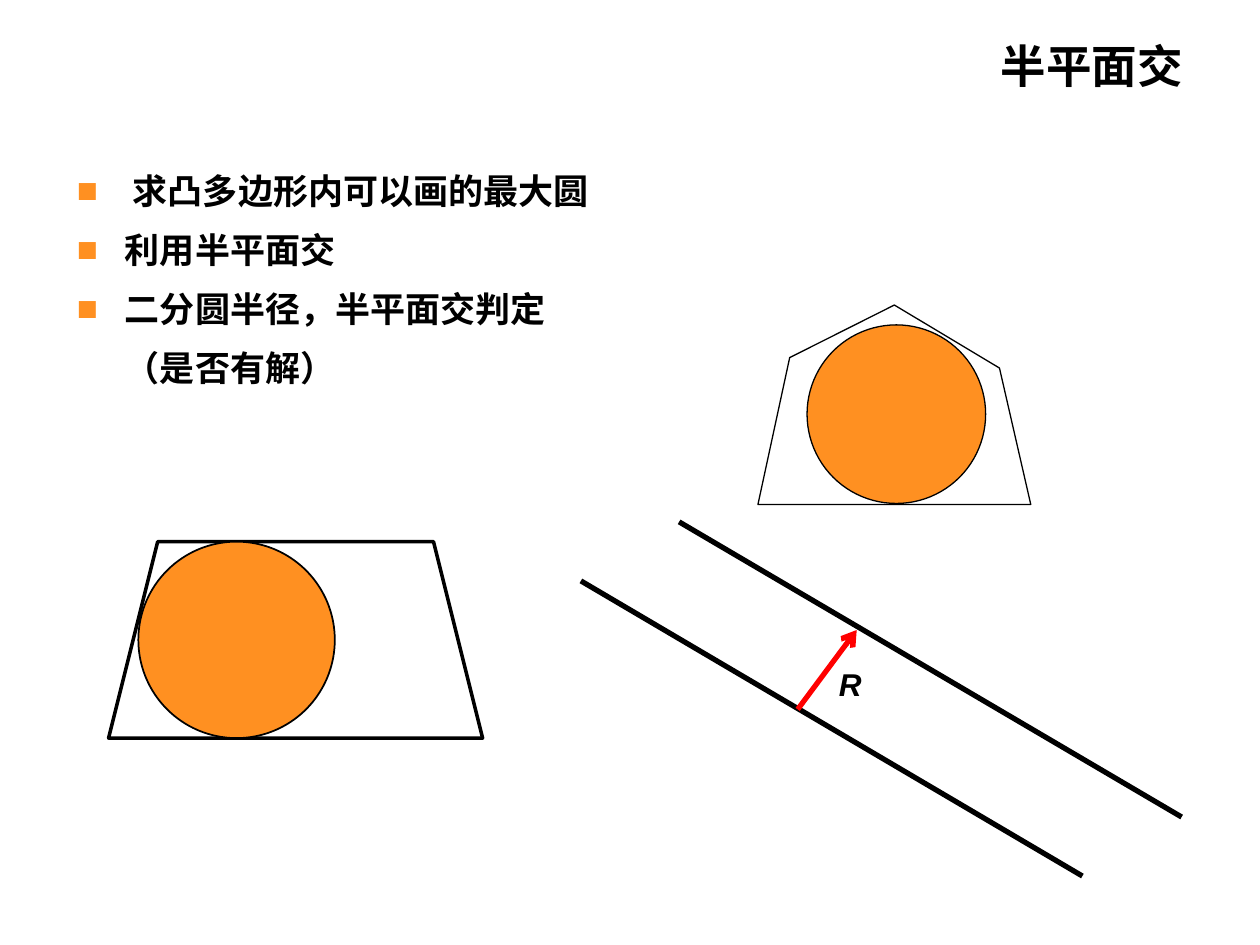
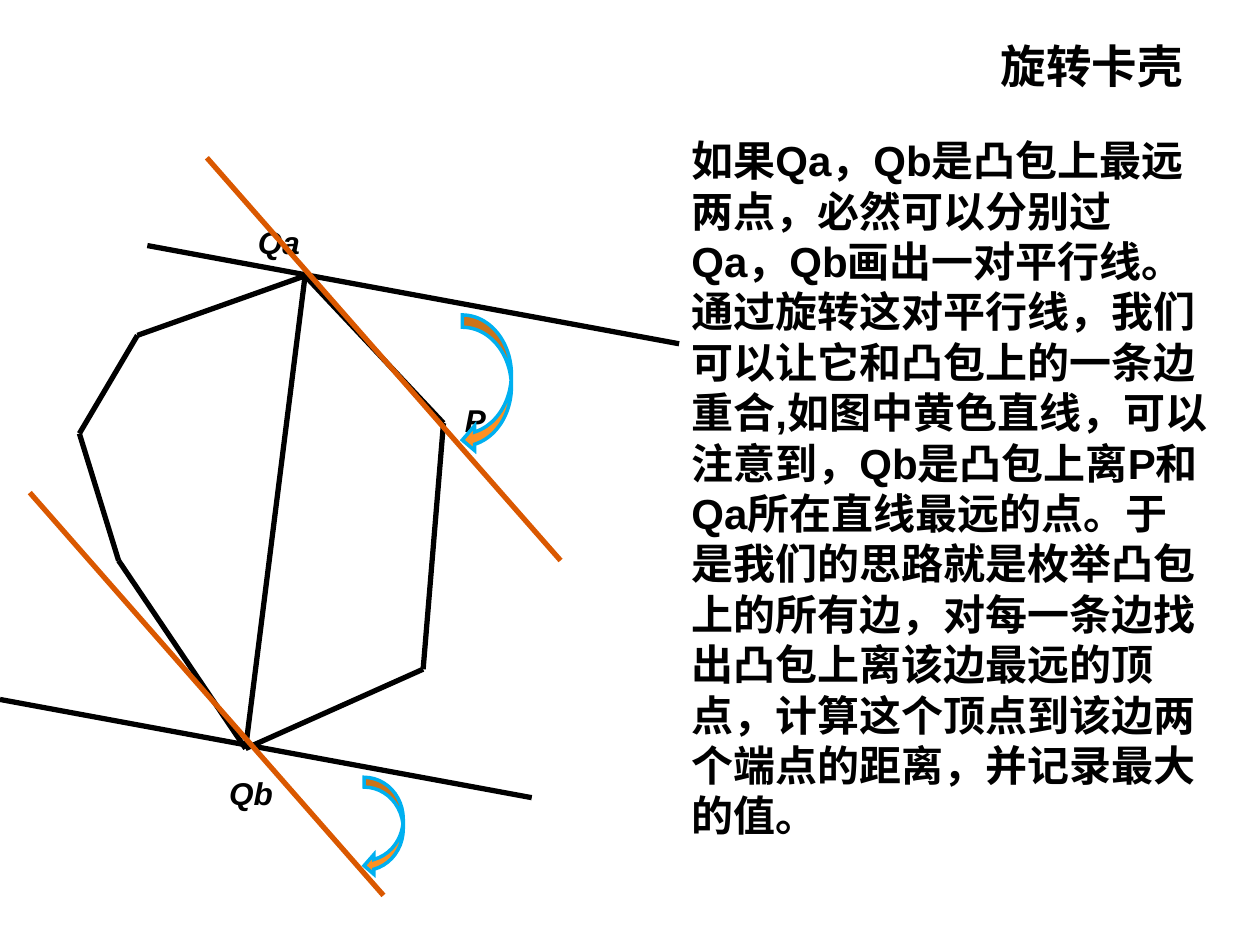
from itertools import pairwise
from lxml.etree import SubElement
from pptx import Presentation
from pptx.dml.color import RGBColor
from pptx.enum.shapes import MSO_CONNECTOR, MSO_SHAPE
from pptx.enum.text import MSO_ANCHOR, PP_ALIGN
from pptx.oxml.ns import qn
from pptx.util import Cm, Pt

FONT = "Arial"
BLACK, RED = "000000", "FF0000"
ORANGE, RUST, BLUE = "FF9021", "DA5800", "00B0F0"


def color(code):
    return RGBColor.from_string(code)


def style(para, size, slant=False):
    para._p.get_or_add_pPr().set("hangingPunct", "0")
    for run in para.runs:
        font = run.font
        font.name, font.size = FONT, Pt(size)
        font.bold, font.italic = True, slant
        font.color.rgb = color(BLACK)


def write(slide, box, text, size, slant=False):
    frame = slide.shapes.add_textbox(*map(Cm, box)).text_frame
    frame.word_wrap = True
    frame.text = text
    for para in frame.paragraphs:
        style(para, size, slant)
    return frame


def title(slide, text):
    frame = write(slide, (1.3, 0.52, 22.8, 1.6), text, 26)
    frame.vertical_anchor = MSO_ANCHOR.MIDDLE
    frame.paragraphs[0].alignment = PP_ALIGN.RIGHT


def label(slide, left, top, text, width=2.18):
    write(slide, (left, top, width, 1.02), text, 18, True)


def paint(shape, fill, line, width):
    shape.shadow.inherit = False
    if fill:
        shape.fill.solid()
        shape.fill.fore_color.rgb = color(fill)
    else:
        shape.fill.background()
    shape.line.color.rgb = color(line)
    shape.line.width = Pt(width)


def line(slide, start, end, code=BLACK, head=False):
    link = slide.shapes.add_connector(
        MSO_CONNECTOR.STRAIGHT, *map(Cm, (*start, *end)))
    link.line.color.rgb = color(code)
    link.line.width = Pt(3)
    props = link._element.spPr
    if head:
        SubElement(props.find(qn("a:ln")), qn("a:tailEnd"), type="arrow")
    SubElement(props, qn("a:effectLst"))


def shift(points, left, top):
    return [(left + x, top + y) for x, y in points]


def outline(slide, points, width):
    first, *rest = [(Cm(x), Cm(y)) for x, y in points]
    pen = slide.shapes.build_freeform(*first)
    pen.add_line_segments(rest, close=True)
    paint(pen.convert_to_shape(), None, BLACK, width)


def bullets(slide, box, items, note):
    frame = write(slide, box, "\n".join([*items, note]), 20)
    for place, para in enumerate(frame.paragraphs):
        para.line_spacing = 1.2
        if place:
            para.space_before = Pt(5)
        props = para._p.get_or_add_pPr()
        left = Cm(0.97 if place else 1.13)
        props.set("marL", str(left))
        if place == len(items):
            continue
        props.set("indent", str(-left))
        tint = SubElement(props, qn("a:buClr"))
        SubElement(tint, qn("a:srgbClr"), val=ORANGE)
        SubElement(props, qn("a:buFont"), typeface=FONT)
        SubElement(props, qn("a:buChar"), char="■")


def inscribe(slide, left, top, corners, disc, widths):
    outline(slide, shift(corners, left, top), widths[0])
    x, y, size = disc
    circle = slide.shapes.add_shape(
        MSO_SHAPE.OVAL, *map(Cm, (left + x, top + y, size, size)))
    paint(circle, ORANGE, BLACK, widths[1])


def strip(slide, left, top):
    for ends in (((0, 1.19), (10.11, 7.14)), ((1.98, 0), (12.11, 5.95))):
        line(slide, *shift(ends, left, top))
    line(slide, *shift([(4.37, 3.78), (5.56, 2.18)], left, top), RED, True)
    label(slide, left + 4.95, top + 2.77, "R", 1)


def turn(slide, left, top, width, height):
    arrow = slide.shapes.add_shape(
        MSO_SHAPE.CURVED_LEFT_ARROW, *map(Cm, (left, top, width, height)))
    paint(arrow, ORANGE, BLUE, 2)
    SubElement(arrow._element.spPr.find(qn("a:ln")), qn("a:miter"), lim="800000")


def caliper(slide, left, top):
    far, near = (6.15, 2.38), (4.95, 11.91)
    hull = [far, (2.77, 3.58), (1.6, 5.56), (2.39, 8.12), near,
            (8.53, 10.31), (8.94, 5.35), far]
    for ends in pairwise(hull):
        line(slide, *shift(ends, left, top))
    for x, y, text in ((4.95, 1.19, "Qa"), (9.12, 4.77, "P"), (4.37, 12.29, "Qb")):
        label(slide, left + x, top + y, text)
    line(slide, *shift((far, near), left, top))
    for ends, gap, code in ((((13.69, 3.75), (2.97, 1.77)), (-2.97, 9.15), BLACK),
                            (((11.3, 8.12), (4.17, 0)), (-3.57, 6.75), RUST)):
        for move in ((0, 0), gap):
            line(slide, *shift(shift(ends, *move), left, top), code)
    turn(slide, left + 9.32, top + 3.17, 0.99, 2.77)
    turn(slide, left + 7.34, top + 12.49, 0.79, 1.98)


def plane(slide):
    title(slide, "半平面交")
    bullets(slide, (1.3, 3.12, 22.8, 14.4),
            ["求凸多边形内可以画的最大圆", "利用半平面交", "二分圆半径，半平面交判定"],
            "（是否有解）")
    inscribe(slide, 2.19, 10.92, [(0, 3.96), (0.99, 0), (6.55, 0), (7.54, 3.96)],
             (0.6, 0, 3.96), (2, 1))
    inscribe(slide, 15.28, 6.15,
             [(2.75, 0), (0.64, 1.06), (0, 4.02), (5.5, 4.02), (4.87, 1.27)],
             (0.99, 0.4, 3.6), (0.75, 0.75))
    strip(slide, 11.71, 10.52)


def rotate(slide):
    title(slide, "旋转卡壳")
    write(slide, (13.69, 2.59, 10.92, 14.48),
          "如果Qa，Qb是凸包上最远两点，必然可以分别过Qa，Qb画出一对平行线。"
          "通过旋转这对平行线，我们可以让它和凸包上的一条边重合,如图中黄色直线，"
          "可以注意到，Qb是凸包上离P和Qa所在直线最远的点。"
          "于是我们的思路就是枚举凸包上的所有边，对每一条边找出凸包上离该边最远的顶点，"
          "计算这个顶点到该边两个端点的距离，并记录最大的值。", 24)
    caliper(slide, 0, 3.18)


def main():
    deck = Presentation()
    deck.slide_width, deck.slide_height = Cm(25.4), Cm(19.05)
    for build in (plane, rotate):
        build(deck.slides.add_slide(deck.slide_layouts[6]))
    deck.save("out.pptx")


if __name__ == "__main__":
    main()
